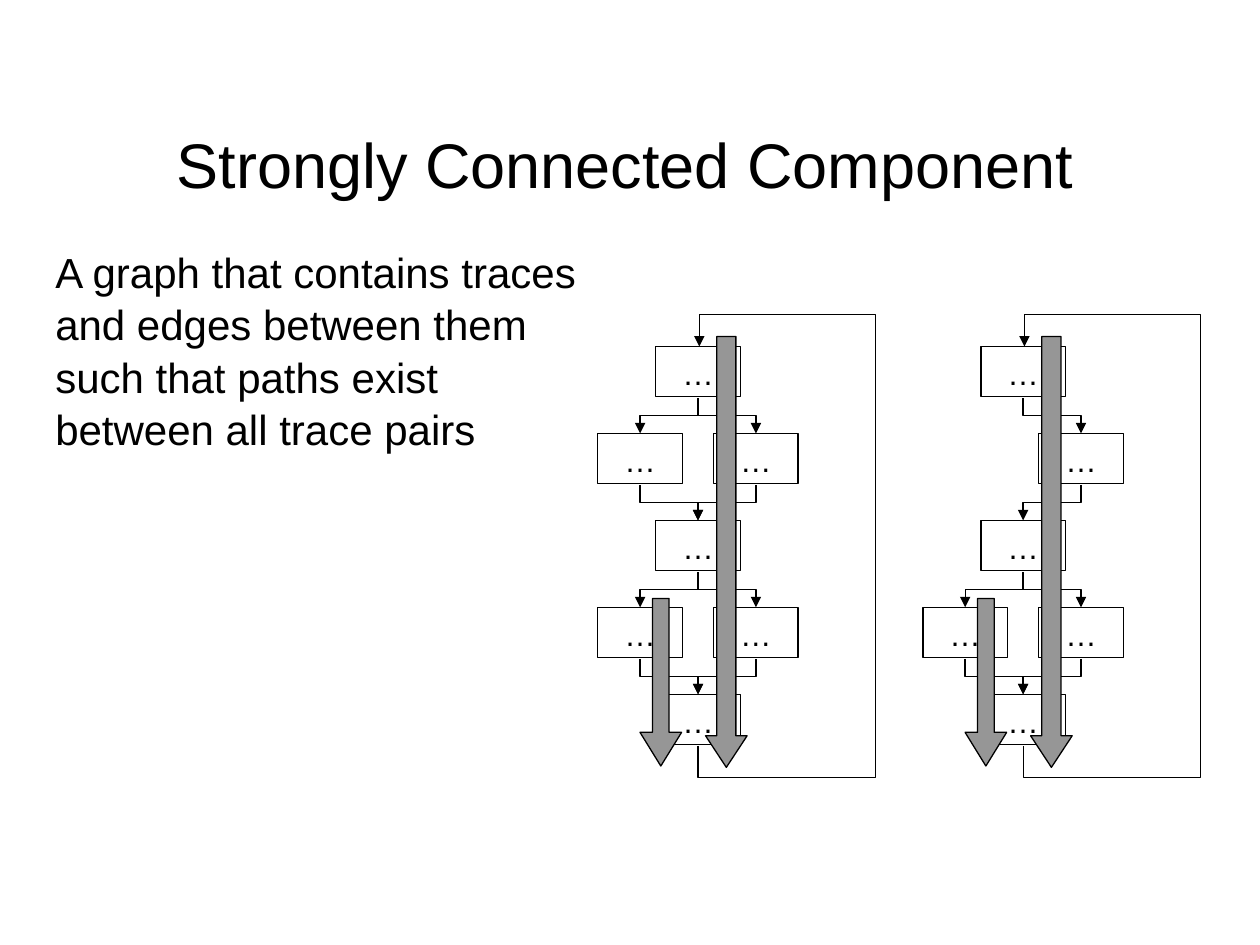
from dataclasses import dataclass

from lxml import etree
from pptx import Presentation
from pptx.dml.color import RGBColor
from pptx.enum.shapes import MSO_CONNECTOR, MSO_SHAPE
from pptx.enum.text import MSO_ANCHOR, MSO_AUTO_SIZE, PP_ALIGN
from pptx.oxml.ns import qn
from pptx.util import Inches, Pt

ELBOW = MSO_CONNECTOR.ELBOW
RECTANGLE = MSO_SHAPE.RECTANGLE
DOWN_ARROW = MSO_SHAPE.DOWN_ARROW
CENTER, LEFT = PP_ALIGN.CENTER, PP_ALIGN.LEFT
MIDDLE, TOP = MSO_ANCHOR.MIDDLE, MSO_ANCHOR.TOP
FIT_SHAPE, NO_FIT = MSO_AUTO_SIZE.SHAPE_TO_FIT_TEXT, MSO_AUTO_SIZE.NONE

FONT = "Arial"
BLACK, GRAY = "000000", "969696"
LINE_WIDTH = 0.74
LINE_SPACING = 1.04
BLOCK_WIDTH, BLOCK_HEIGHT = 0.67, 0.4
BLOCK_GAP = 0.01
FIRST_ROW, ROW_STEP = 2.75, 0.69
COLUMN_STEP = 0.46
TRACE_WIDTH = 0.33
LOOP_REACH, LOOP_MARGIN, LOOP_DRIFT = 1.43, 0.25, 0.01


@dataclass(frozen=True)
class Block:
    row: int
    column: int


@dataclass(frozen=True)
class Trace:
    offset: float
    top: float
    height: float
    shaft: float
    head: float


@dataclass(frozen=True)
class Graph:
    center: float
    blocks: tuple[Block, ...]


FULL_BLOCKS = (
    Block(0, 0),
    Block(1, -1),
    Block(1, 1),
    Block(2, 0),
    Block(3, -1),
    Block(3, 1),
    Block(4, 0),
)
GRAPHS = (
    Graph(5.54, FULL_BLOCKS),
    Graph(8.12, tuple(block for block in FULL_BLOCKS if block != Block(1, -1))),
)
TRACES = (
    Trace(0.06, 2.67, 3.42, 0.46, 0.76),
    Trace(-0.46, 4.75, 1.33, 0.4, 0.81),
)
DEFINITION = (
    "A graph that contains traces",
    "and edges between them",
    "such that paths exist",
    "between all trace pairs",
)


def color(value: str) -> RGBColor:
    return RGBColor.from_string(value)


def write(shape, *lines: str, size: float, align=LEFT, anchor=TOP, wrap=True, fit=FIT_SHAPE, spacing=LINE_SPACING) -> None:
    frame = shape.text_frame
    frame.text = "\n".join(lines)
    frame.word_wrap = wrap
    frame.auto_size = fit
    frame.vertical_anchor = anchor
    for paragraph in frame.paragraphs:
        paragraph.alignment = align
        paragraph.line_spacing = spacing
        paragraph.font.name = FONT
        paragraph.font.size = Pt(size)
        paragraph.font.color.rgb = color(BLACK)


def outline(shape) -> None:
    shape.line.color.rgb = color(BLACK)
    shape.line.width = Pt(LINE_WIDTH)


def block_center(graph: Graph, block: Block) -> float:
    return graph.center + block.column * COLUMN_STEP


def block_top(block: Block) -> float:
    return FIRST_ROW + block.row * ROW_STEP


def block_exit(block: Block) -> float:
    return block_top(block) + BLOCK_HEIGHT + BLOCK_GAP


def draw_block(slide, graph: Graph, block: Block) -> None:
    left = block_center(graph, block) - BLOCK_WIDTH / 2
    box = slide.shapes.add_shape(
        RECTANGLE, Inches(left), Inches(block_top(block)), Inches(BLOCK_WIDTH), Inches(BLOCK_HEIGHT)
    )
    box.shadow.inherit = False
    box.fill.background()
    outline(box)
    write(box, "…", size=18, align=CENTER)


def draw_elbow(slide, start: tuple[float, float], end: tuple[float, float], preset: str, adjustments: tuple[float, ...]) -> None:
    (start_x, start_y), (end_x, end_y) = start, end
    length, breadth = abs(end_y - start_y), abs(end_x - start_x)
    left = (start_x + end_x - length) / 2
    top = (start_y + end_y - breadth) / 2
    xs, ys = [left, left + length], [top, top + breadth]
    rising = end_y < start_y
    if end_x > start_x:
        xs.reverse()
    if rising:
        ys.reverse()
    edge = slide.shapes.add_connector(ELBOW, Inches(xs[0]), Inches(ys[0]), Inches(xs[1]), Inches(ys[1]))
    outline(edge)
    properties = edge._element.spPr
    turn = 90 if rising or end_x < start_x else 270
    properties.find(qn("a:xfrm")).set("rot", str(turn * 60000))
    geometry = properties.find(qn("a:prstGeom"))
    geometry.set("prst", preset)
    guides = geometry.get_or_add_avLst()
    for number, value in enumerate(adjustments, 1):
        name = f"adj{number}"
        etree.SubElement(guides, qn("a:gd"), name=name, fmla=f"val {round(value * 100000)}")
    etree.SubElement(properties.find(qn("a:ln")), qn("a:tailEnd"), type="triangle")
    etree.SubElement(properties, qn("a:effectLst"))


def draw_trace(slide, graph: Graph, trace: Trace) -> None:
    arrow = slide.shapes.add_shape(
        DOWN_ARROW, Inches(graph.center + trace.offset), Inches(trace.top), Inches(TRACE_WIDTH), Inches(trace.height)
    )
    arrow.shadow.inherit = False
    arrow.adjustments[0] = trace.shaft
    arrow.adjustments[1] = trace.head
    arrow.fill.solid()
    arrow.fill.fore_color.rgb = color(GRAY)
    outline(arrow)


def draw_graph(slide, graph: Graph) -> None:
    for block in graph.blocks:
        draw_block(slide, graph, block)
    for source in graph.blocks:
        for target in graph.blocks:
            if target.row == source.row + 1:
                start = block_center(graph, source), block_exit(source)
                end = block_center(graph, target), block_top(target)
                draw_elbow(slide, start, end, "bentConnector3", (0.5,))
    for trace in TRACES:
        draw_trace(slide, graph, trace)
    bottom = block_exit(graph.blocks[-1])
    margin = LOOP_MARGIN / (bottom - FIRST_ROW)
    draw_elbow(
        slide,
        (graph.center, bottom),
        (graph.center + LOOP_DRIFT, FIRST_ROW),
        "bentConnector5",
        (-margin, LOOP_REACH / LOOP_DRIFT, 1 + margin),
    )


def main() -> None:
    presentation = Presentation()
    presentation.slide_width, presentation.slide_height = Inches(10), Inches(7.5)
    slide = presentation.slides.add_slide(presentation.slide_layouts[5])
    title = slide.shapes.title
    title.left, title.top, title.width, title.height = Inches(0.5), Inches(0.67), Inches(8.92), Inches(1.25)
    write(title, "Strongly Connected Component", size=36, align=CENTER, anchor=MIDDLE, fit=NO_FIT, spacing=1.0)
    definition = slide.shapes.add_textbox(Inches(0.34), Inches(1.89), Inches(4.35), Inches(1.7))
    write(definition, *DEFINITION, size=24, wrap=False)
    for graph in GRAPHS:
        draw_graph(slide, graph)
    presentation.save("out.pptx")


main()
